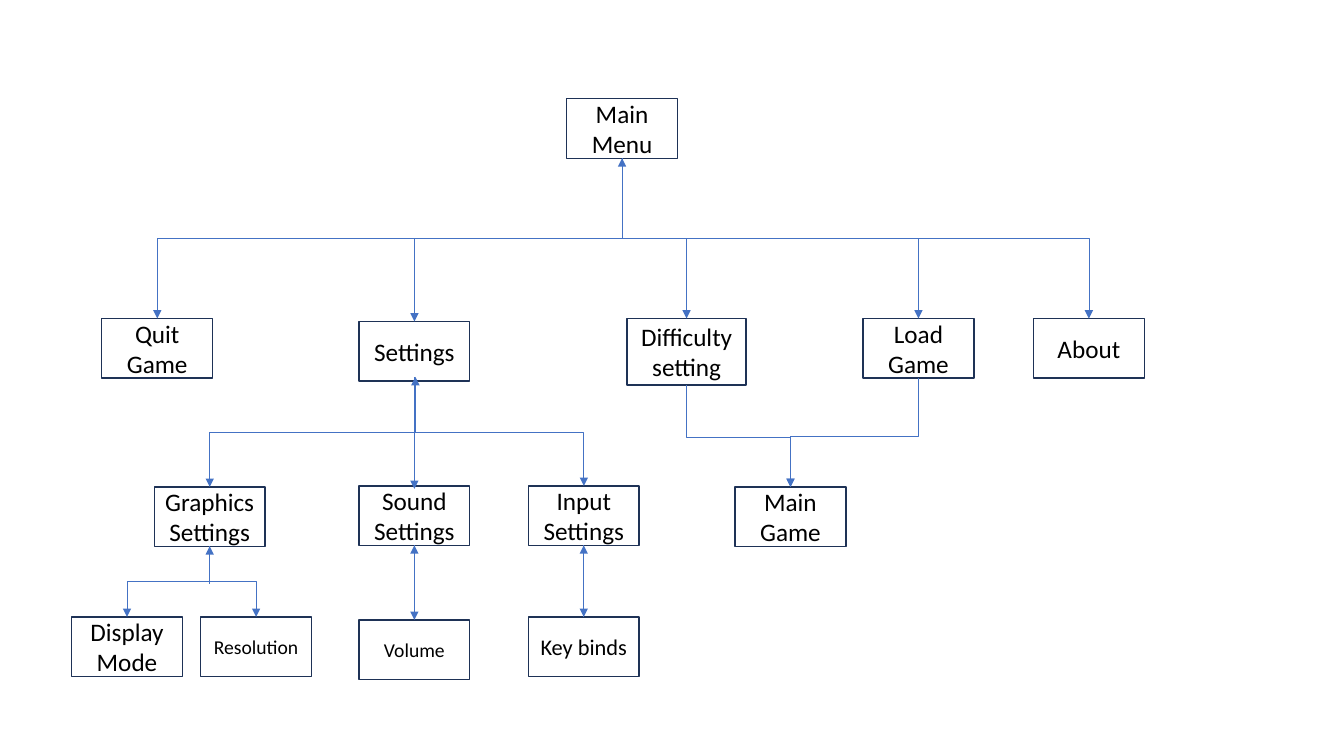
"""Build a slide charting how the menus of a game lead to one another."""
from dataclasses import dataclass
from typing import Optional

from lxml import etree
from pptx import Presentation
from pptx import util as u
from pptx.dml.color import RGBColor
from pptx.enum import shapes, text
from pptx.oxml import ns


@dataclass(frozen=True)
class Theme:
    font: str = "Calibri"
    ink: RGBColor = RGBColor(0x00, 0x00, 0x00)
    paper: RGBColor = RGBColor(0xFF, 0xFF, 0xFF)
    border: RGBColor = RGBColor(0x1E, 0x32, 0x56)
    arrow: RGBColor = RGBColor(0x44, 0x72, 0xC4)
    border_width: float = 1
    arrow_width: float = 0.5
    regular: int = 18
    medium: int = 16
    small: int = 14


THEME = Theme()


@dataclass(frozen=True)
class Screen:
    label: str
    left: float
    top: float
    size: int = THEME.regular
    width: float = 1.1
    height: float = 0.59

    @property
    def center(self) -> float:
        return self.left + self.width / 2

    @property
    def bottom(self) -> float:
        return self.top + self.height


@dataclass(frozen=True)
class Branch:
    parent: Screen
    child: Screen
    bend: float
    start: Optional[float] = None


@dataclass(frozen=True)
class Arrow:
    x: float
    start: float
    end: float


MENU_ROW, SUBMENU_ROW, OPTION_ROW = 3.16, 4.83, 6.12
MENU_BEND, SETTINGS_BEND, GRAPHICS_BEND = 2.36, 4.29, 5.77

MAIN_MENU = Screen("Main Menu", 5.62, 0.98)
QUIT = Screen("Quit Game", 1.01, MENU_ROW)
SETTINGS = Screen("Settings", 3.56, 3.19)
DIFFICULTY = Screen("Difficulty setting", 6.22, MENU_ROW, width=1.18, height=0.66)
LOAD = Screen("Load Game", 8.56, MENU_ROW)
ABOUT = Screen("About", 10.25, MENU_ROW)
GRAPHICS = Screen("Graphics Settings", 1.53, SUBMENU_ROW)
SOUND = Screen("Sound Settings", 3.56, 4.82)
INPUT = Screen("Input Settings", 5.24, 4.82)
MAIN_GAME = Screen("Main Game", 7.29, SUBMENU_ROW)
DISPLAY = Screen("Display Mode", 0.71, OPTION_ROW)
RESOLUTION = Screen("Resolution", 1.99, OPTION_ROW, THEME.small)
VOLUME = Screen("Volume", 3.56, 6.15, THEME.small)
KEY_BINDS = Screen("Key binds", 5.24, OPTION_ROW, THEME.medium)

SCREENS = [MAIN_MENU, QUIT, SETTINGS, DIFFICULTY, LOAD, ABOUT, GRAPHICS, SOUND,
           INPUT, MAIN_GAME, DISPLAY, RESOLUTION, VOLUME, KEY_BINDS]

BRANCHES = [
    *(Branch(MAIN_MENU, child, MENU_BEND)
      for child in (QUIT, SETTINGS, DIFFICULTY, LOAD, ABOUT)),
    Branch(SETTINGS, GRAPHICS, SETTINGS_BEND),
    Branch(SETTINGS, INPUT, SETTINGS_BEND, start=3.74),
    Branch(DIFFICULTY, MAIN_GAME, 4.34),
    Branch(LOAD, MAIN_GAME, 4.33),
    *(Branch(GRAPHICS, child, GRAPHICS_BEND) for child in (DISPLAY, RESOLUTION)),
]

ARROWS = [
    Arrow(MAIN_MENU.center, MENU_BEND, MAIN_MENU.bottom),
    Arrow(4.12, SETTINGS_BEND, 3.74),
    Arrow(4.11, 3.77, 4.85),
    Arrow(GRAPHICS.center, 5.79, GRAPHICS.bottom),
    Arrow(VOLUME.center, SOUND.bottom, VOLUME.top),
    Arrow(VOLUME.center, 6.11, SOUND.bottom),
    Arrow(KEY_BINDS.center, INPUT.bottom, KEY_BINDS.top),
    Arrow(KEY_BINDS.center, KEY_BINDS.top, INPUT.bottom),
]


def draw_screen(page, screen: Screen) -> None:
    box = page.shapes.add_shape(
        shapes.MSO_SHAPE.RECTANGLE, u.Inches(screen.left), u.Inches(screen.top),
        u.Inches(screen.width), u.Inches(screen.height))
    box.shadow.inherit = False
    box.fill.solid()
    box.fill.fore_color.rgb = THEME.paper
    box.line.color.rgb = THEME.border
    box.line.width = u.Pt(THEME.border_width)
    frame = box.text_frame
    frame.text = screen.label
    frame.word_wrap = True
    frame.vertical_anchor = text.MSO_ANCHOR.MIDDLE
    para = frame.paragraphs[0]
    para.alignment = text.PP_ALIGN.CENTER
    font = para.runs[0].font
    font.name, font.size, font.color.rgb = THEME.font, u.Pt(screen.size), THEME.ink


def style_connector(connector) -> None:
    connector.line.color.rgb = THEME.arrow
    connector.line.width = u.Pt(THEME.arrow_width)
    properties = connector._element.spPr
    outline = properties.find(ns.qn("a:ln"))
    etree.SubElement(outline, ns.qn("a:tailEnd"), type="triangle")
    etree.SubElement(properties, ns.qn("a:effectLst"))


def draw_arrow(page, arrow: Arrow) -> None:
    connector = page.shapes.add_connector(
        shapes.MSO_CONNECTOR.STRAIGHT, u.Inches(arrow.x), u.Inches(arrow.start),
        u.Inches(arrow.x), u.Inches(arrow.end))
    style_connector(connector)


def draw_branch(page, branch: Branch) -> None:
    start = branch.parent.bottom if branch.start is None else branch.start
    drop = branch.child.top - start
    shift = branch.child.center - branch.parent.center
    middle_x = branch.parent.center + shift / 2
    middle_y = start + drop / 2
    reach = drop / 2 if shift > 0 else -drop / 2
    connector = page.shapes.add_connector(
        shapes.MSO_CONNECTOR.ELBOW,
        u.Inches(middle_x + reach), u.Inches(middle_y - abs(shift) / 2),
        u.Inches(middle_x - reach), u.Inches(middle_y + abs(shift) / 2))
    properties = connector._element.spPr
    quarter_turns = 3 if shift > 0 else 1
    properties.find(ns.qn("a:xfrm")).set("rot", str(quarter_turns * 5400000))
    ratio = round((branch.bend - start) / drop * 100000)
    guides = properties.find(ns.qn("a:prstGeom")).find(ns.qn("a:avLst"))
    etree.SubElement(guides, ns.qn("a:gd"), name="adj1", fmla=f"val {ratio}")
    style_connector(connector)


def main() -> None:
    deck = Presentation()
    deck.slide_width, deck.slide_height = u.Inches(13.33), u.Inches(7.5)
    page = deck.slides.add_slide(deck.slide_layouts[6])
    for screen in SCREENS:
        draw_screen(page, screen)
    for branch in BRANCHES:
        draw_branch(page, branch)
    for arrow in ARROWS:
        draw_arrow(page, arrow)
    deck.save("out.pptx")


main()
